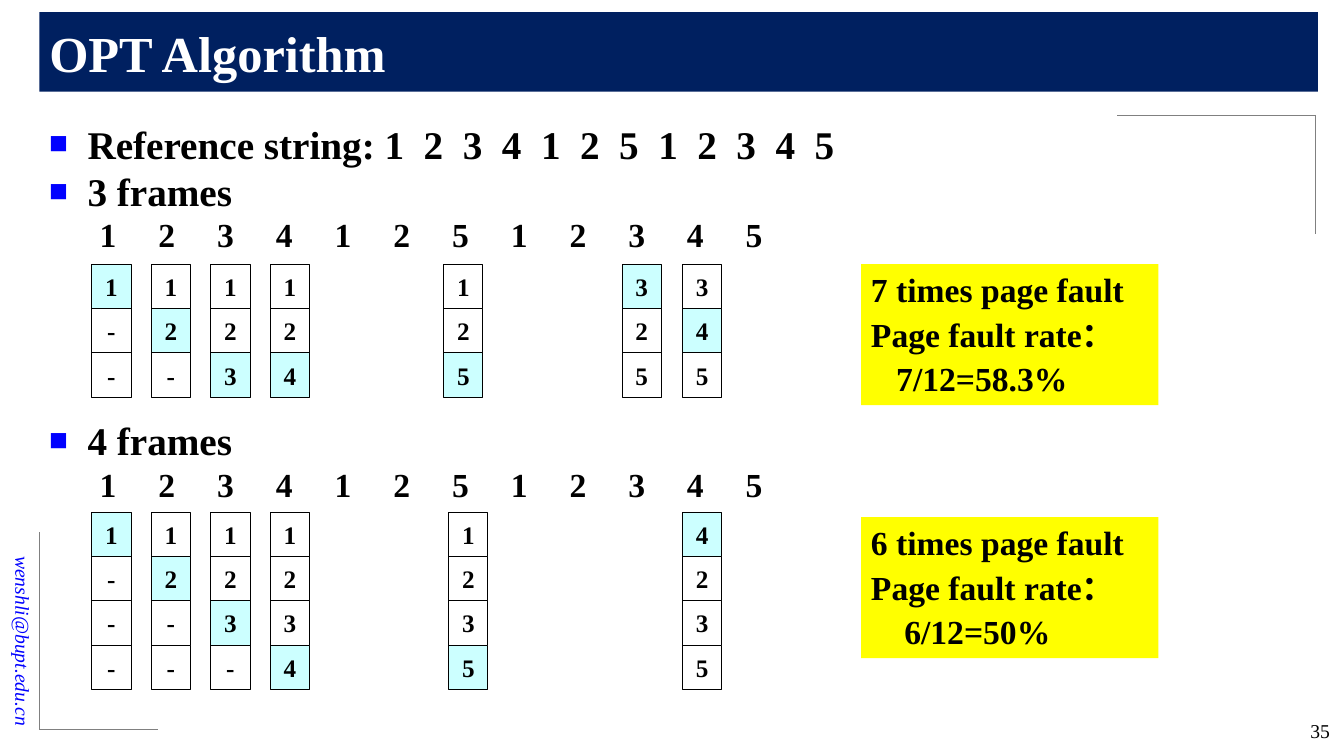
from dataclasses import dataclass

import lxml.etree
import pptx
import pptx.dml.color
import pptx.enum.shapes
import pptx.enum.text
import pptx.oxml.ns
import pptx.util

Inches = pptx.util.Inches
Pt = pptx.util.Pt
Align = pptx.enum.text.PP_ALIGN
Anchor = pptx.enum.text.MSO_ANCHOR

FONT = "Times New Roman"
BLACK, WHITE, BLUE, NAVY = "000000", "FFFFFF", "0000FF", "002060"
CYAN, YELLOW, GRAY = "CCFFFF", "FFFF00", "808080"
REFERENCES = "1 2 3 4 1 2 5 1 2 3 4 5"
CELL_WIDTH, CELL_HEIGHT = 0.39, 0.44


@dataclass
class FrameColumn:
    """Pages held after one page fault; loaded is the row just filled."""
    left: float
    pages: str
    loaded: int


@dataclass
class FrameExample:
    top: float
    columns: list[FrameColumn]
    note_top: float
    faults: str
    rate: str
    rate_indent: float


@dataclass
class Corner:
    x: float
    y: float
    end_x: float
    end_y: float


EXAMPLES = [
    FrameExample(2.62, [
        FrameColumn(0.91, "1--", 0), FrameColumn(1.5, "12-", 1),
        FrameColumn(2.09, "123", 2), FrameColumn(2.68, "124", 2),
        FrameColumn(4.4, "125", 2), FrameColumn(6.17, "325", 0),
        FrameColumn(6.77, "345", 1),
    ], 2.62, "7 times page fault", "7/12=58.3%", 0.25),
    FrameExample(5.08, [
        FrameColumn(0.91, "1---", 0), FrameColumn(1.5, "12--", 1),
        FrameColumn(2.09, "123-", 2), FrameColumn(2.68, "1234", 3),
        FrameColumn(4.45, "1235", 3), FrameColumn(6.77, "4235", 0),
    ], 5.13, "6 times page fault", "6/12=50%", 0.33),
]
CORNERS = [Corner(0.39, 7.24, 1.57, 5.28), Corner(13.05, 1.14, 11.08, 2.32)]


def color(value: str) -> pptx.dml.color.RGBColor:
    return pptx.dml.color.RGBColor.from_string(value)


def style(paragraph, size: float, text_color: str = BLACK, bold: bool = True,
          italic: bool = False, align=Align.LEFT) -> None:
    paragraph.alignment = align
    font = paragraph.font
    font.name, font.size, font.bold, font.italic = FONT, Pt(size), bold, italic
    font.color.rgb = color(text_color)


def add_box(slide, left: float, top: float, width: float, height: float,
            fill: str, line: str | None = None):
    shape = slide.shapes.add_shape(
        pptx.enum.shapes.MSO_SHAPE.RECTANGLE,
        Inches(left), Inches(top), Inches(width), Inches(height))
    shape.shadow.inherit = False
    shape.fill.solid()
    shape.fill.fore_color.rgb = color(fill)
    if line:
        shape.line.color.rgb = color(line)
        shape.line.width = Pt(0.75)
    else:
        shape.line.fill.background()
    return shape


def add_text(slide, left: float, top: float, width: float, height: float):
    text_box = slide.shapes.add_textbox(
        Inches(left), Inches(top), Inches(width), Inches(height))
    text_box.text_frame.word_wrap = True
    return text_box


def add_line(slide, x: float, y: float, end_x: float, end_y: float) -> None:
    line = slide.shapes.add_connector(
        pptx.enum.shapes.MSO_CONNECTOR.STRAIGHT,
        Inches(x), Inches(y), Inches(end_x), Inches(end_y))
    line.line.color.rgb = color(GRAY)
    line.line.width = Pt(0.5)
    lxml.etree.SubElement(line._element.spPr, pptx.oxml.ns.qn("a:effectLst"))


def next_paragraph(frame):
    """Return the empty first paragraph, or a new one after the others."""
    first = frame.paragraphs[0]
    return frame.add_paragraph() if first.runs else first


def set_indent(paragraph, margin: float, first_line: float) -> None:
    properties = paragraph._p.get_or_add_pPr()
    properties.set("marL", str(Inches(margin)))
    properties.set("indent", str(Inches(first_line)))


def add_bullet(frame, text: str):
    paragraph = next_paragraph(frame)
    paragraph.add_run().text = text
    set_indent(paragraph, 0.38, -0.38)
    properties = paragraph._p.get_or_add_pPr()
    qn = pptx.oxml.ns.qn
    bullet_color = lxml.etree.SubElement(properties, qn("a:buClr"))
    lxml.etree.SubElement(bullet_color, qn("a:srgbClr"), val=BLUE)
    lxml.etree.SubElement(properties, qn("a:buSzPct"), val="80000")
    lxml.etree.SubElement(properties, qn("a:buFont"), typeface=FONT)
    lxml.etree.SubElement(properties, qn("a:buChar"), char="■")
    style(paragraph, 28)
    return paragraph


def add_references(paragraph, spacing: float) -> None:
    """Add the page numbers, letter-spaced by the given points."""
    run = paragraph.add_run()
    run.text = REFERENCES
    run._r.get_or_add_rPr().set("spc", str(round(spacing * 100)))


def add_reference_row(frame) -> None:
    paragraph = next_paragraph(frame)
    add_references(paragraph, 12)
    set_indent(paragraph, 0.5, 0)
    style(paragraph, 24)


def add_body(slide) -> None:
    frame = add_text(slide, 0.39, 1.14, 12.64, 6.1).text_frame
    add_references(add_bullet(frame, "Reference string: "), 3.5)
    add_bullet(frame, "3 frames")
    add_reference_row(frame)
    add_bullet(frame, "4 frames").space_before = Pt(116)
    add_reference_row(frame)


def add_column(slide, column: FrameColumn, top: float) -> None:
    for row, page in enumerate(column.pages):
        cell = add_box(slide, column.left, top + row * CELL_HEIGHT,
                       CELL_WIDTH, CELL_HEIGHT,
                       CYAN if row == column.loaded else WHITE, BLACK)
        cell.text_frame.word_wrap = False
        cell.text_frame.vertical_anchor = Anchor.MIDDLE
        cell.text_frame.text = page
        style(cell.text_frame.paragraphs[0], 18, align=Align.CENTER)


def add_note(slide, example: FrameExample) -> None:
    frame = add_box(slide, 8.54, example.note_top, 2.95, 1.4, YELLOW).text_frame
    frame.vertical_anchor = Anchor.TOP
    for text in (example.faults, "Page fault rate：", example.rate):
        paragraph = next_paragraph(frame)
        paragraph.add_run().text = text
        if text != example.faults:
            paragraph.space_before = Pt(3)
        if text == example.rate:
            set_indent(paragraph, example.rate_indent, 0)
        style(paragraph, 24)


def main() -> None:
    presentation = pptx.Presentation()
    presentation.slide_width, presentation.slide_height = Inches(13.33), Inches(7.5)
    slide = presentation.slides.add_slide(presentation.slide_layouts[6])

    email = add_text(slide, -1.09, 5.81, 2.64, 0.34)
    email.rotation = 90
    email.text_frame.vertical_anchor = Anchor.MIDDLE
    email.text_frame.text = "wenshli@bupt.edu.cn"
    style(email.text_frame.paragraphs[0], 14, BLUE, False, True, Align.RIGHT)

    for corner in CORNERS:
        add_line(slide, corner.x, corner.y, corner.end_x, corner.y)
        add_line(slide, corner.x, corner.y, corner.x, corner.end_y)

    title = add_box(slide, 0.39, 0.12, 12.68, 0.79, NAVY).text_frame
    title.vertical_anchor = Anchor.MIDDLE
    title.text = "OPT Algorithm"
    style(title.paragraphs[0], 36, WHITE)

    add_body(slide)
    number = add_text(slide, 12.18, 7.08, 1.11, 0.36).text_frame
    number.text = "35"
    style(number.paragraphs[0], 14, bold=False, align=Align.RIGHT)

    for example in EXAMPLES:
        for column in example.columns:
            add_column(slide, column, example.top)
        add_note(slide, example)
    presentation.save("out.pptx")


if __name__ == "__main__":
    main()
